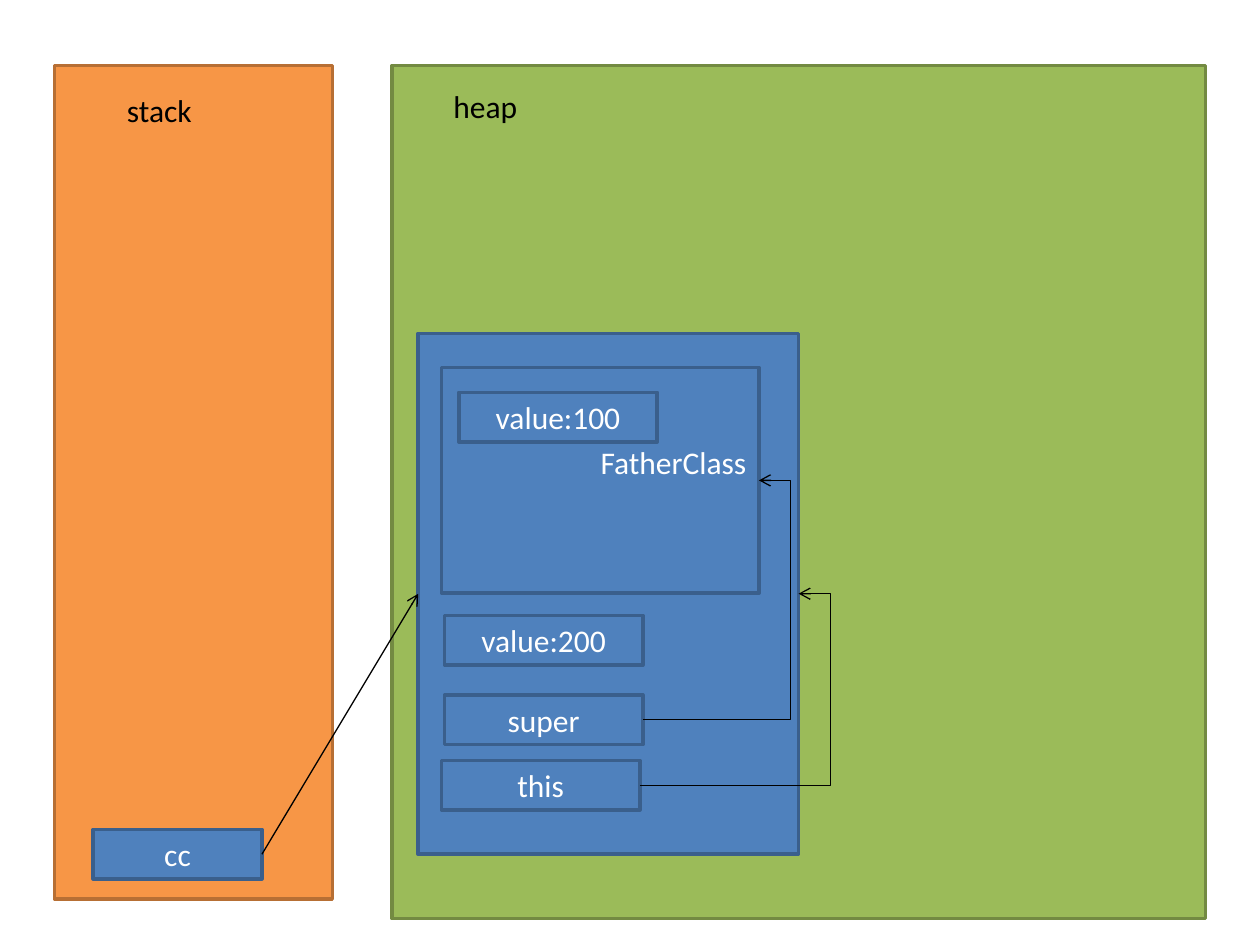
from lxml import etree
from pptx import Presentation
from pptx.dml.color import RGBColor
from pptx.enum.shapes import MSO_CONNECTOR, MSO_SHAPE
from pptx.enum.text import MSO_ANCHOR, PP_ALIGN
from pptx.oxml.ns import qn
from pptx.util import Cm, Pt

RECTANGLE = MSO_SHAPE.RECTANGLE
STRAIGHT, ELBOW = MSO_CONNECTOR.STRAIGHT, MSO_CONNECTOR.ELBOW
TOP, MIDDLE = MSO_ANCHOR.TOP, MSO_ANCHOR.MIDDLE
LEFT, CENTER, RIGHT = PP_ALIGN.LEFT, PP_ALIGN.CENTER, PP_ALIGN.RIGHT
LEFT_SIDE, RIGHT_SIDE = 1, 3

BLACK, WHITE = "000000", "FFFFFF"
ORANGE, ORANGE_EDGE = "F79646", "B76F34"
GREEN, GREEN_EDGE = "9BBB59", "738A42"
BLUE, BLUE_EDGE = "4F81BD", "3A5F8C"
FIELD_WIDTH, FIELD_HEIGHT = 4, 1
DETOUR = 0.64


def color(hex_text):
    return RGBColor.from_string(hex_text)


def write(frame, text, ink=WHITE, align=CENTER, anchor=MIDDLE, size=18):
    frame.word_wrap = True
    frame.vertical_anchor = anchor
    paragraph = frame.paragraphs[0]
    paragraph.alignment = align
    run = paragraph.add_run()
    run.text = text
    run.font.name = "Calibri"
    run.font.size = Pt(size)
    run.font.color.rgb = color(ink)


def block(slide, x, y, width, height, fill=BLUE, edge=BLUE_EDGE):
    area = slide.shapes.add_shape(RECTANGLE, Cm(x), Cm(y), Cm(width), Cm(height))
    area.shadow.inherit = False
    if fill:
        area.fill.solid()
        area.fill.fore_color.rgb = color(fill)
    else:
        area.fill.background()
    area.line.color.rgb = color(edge)
    area.line.width = Pt(2)
    return area


def field(slide, x, y, text, width=FIELD_WIDTH):
    cell = block(slide, x, y, width, FIELD_HEIGHT)
    write(cell.text_frame, text)
    return cell


def title(slide, x, y, text):
    heading = slide.shapes.add_textbox(Cm(x), Cm(y), Cm(3), Cm(1.02))
    write(heading.text_frame, text, ink=BLACK, align=LEFT, anchor=TOP)


def reference(slide, source, target, target_side, kind=ELBOW):
    arrow = slide.shapes.add_connector(kind, 0, 0, 0, 0)
    arrow.begin_connect(source, RIGHT_SIDE)
    arrow.end_connect(target, target_side)
    arrow.line.color.rgb = color(BLACK)
    arrow.line.width = Pt(0.75)
    properties = arrow._element.spPr
    line = properties.find(qn("a:ln"))
    etree.SubElement(line, qn("a:tailEnd"), type="arrow")
    etree.SubElement(properties, qn("a:effectLst"))
    if kind == ELBOW:
        bend = round(100000 * (1 + Cm(DETOUR) / arrow.width))
        guides = properties.find(qn("a:prstGeom")).find(qn("a:avLst"))
        etree.SubElement(guides, qn("a:gd"), name="adj1", fmla=f"val {bend}")


def stack_region(slide, x, y, width, height):
    block(slide, x, y, width, height, ORANGE, ORANGE_EDGE)
    title(slide, x + 1.21, y + 0.4, "stack")
    return field(slide, x + 0.78, y + height - 1.4, "cc", width=3.4)


def father_part(slide, x, y, width, height):
    father = block(slide, x, y, width, height, fill=None)
    write(father.text_frame, "FatherClass", align=RIGHT)
    father.text_frame.margin_bottom = Cm(0.89)
    field(slide, x + 0.35, y + 0.5, "value:100")
    return father


def child_object(slide, x, y, width, height):
    child = block(slide, x, y, width, height)
    father = father_part(slide, x + 0.47, y + 0.69, 6.4, 4.55)
    field(slide, x + 0.53, y + 5.69, "value:200")
    super_field = field(slide, x + 0.53, y + 7.29, "super")
    this_field = field(slide, x + 0.47, y + 8.61, "this")
    reference(slide, this_field, child, RIGHT_SIDE)
    reference(slide, super_field, father, RIGHT_SIDE)
    return child


def heap_region(slide, x, y, width, height):
    block(slide, x, y, width, height, GREEN, GREEN_EDGE)
    title(slide, x + 0.99, y + 0.3, "heap")
    return child_object(slide, x + 0.53, y + 5.4, 7.67, 10.5)


deck = Presentation()
deck.slide_width, deck.slide_height = Cm(25.4), Cm(19.05)
memory = deck.slides.add_slide(deck.slide_layouts[6])
child = heap_region(memory, 7.9, 1.32, 16.4, 17.2)
variable = stack_region(memory, 1.1, 1.32, 5.6, 16.8)
reference(memory, variable, child, LEFT_SIDE, kind=STRAIGHT)
deck.save("out.pptx")
